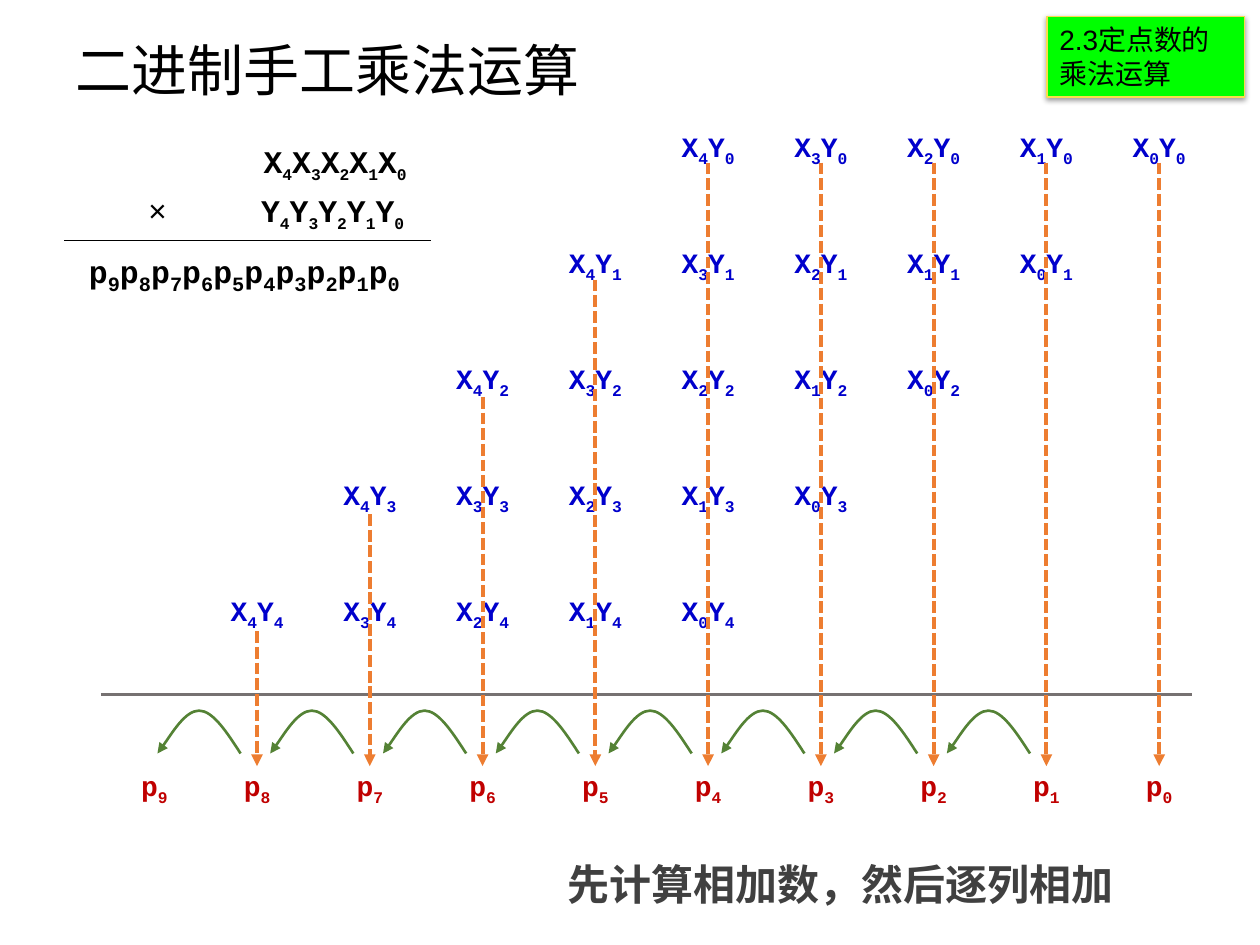
import pptx
import pptx.dml.color
import pptx.enum.dml
import pptx.enum.shapes
import pptx.enum.text
import pptx.oxml
import pptx.oxml.ns
import pptx.util

Inches, Pt = pptx.util.Inches, pptx.util.Pt
qn = pptx.oxml.ns.qn
ALIGN = pptx.enum.text.PP_ALIGN
ANCHOR = pptx.enum.text.MSO_ANCHOR
AUTO = pptx.enum.text.MSO_AUTO_SIZE

# Content: "_" marks the next character as a subscript
TITLE = "二进制手工乘法运算"
SECTION = "2.3定点数的乘法运算"
CLOSING = "先计算相加数，然后逐列相加"
BITS = 5
DIGITS = range(2 * BITS)
HIGH_TO_LOW = range(BITS - 1, -1, -1)
FACTOR_X = "".join(f"X_{i}" for i in HIGH_TO_LOW)
FACTOR_Y = "".join(f"Y_{i}" for i in HIGH_TO_LOW)
PRODUCT = "".join(f"p_{k}" for k in reversed(DIGITS))

THEME = dict(
    heading="Arial", mono="Courier New", cjk="Noto Sans CJK SC",
    black="000000", term="0000CC", result="C00000", closing="404040",
    rule="767171", arrow="ED7D31", carry="548235",
    tag="00FF00", tag_line="FADD4D",
    title_size=32, closing_size=24, factor_size=18, product_sub=20, size=16,
)

# Column grid, in inches: column 0 is the lowest digit, on the right
RIGHT, PITCH = 9.2, 0.895
ROW_TOP, ROW_STEP = 0.98, 0.92
ARROW_TOP, ARROW_STEP, ARROW_END = 1.29, 0.93, 6.08
CARRY_TOP, CARRY_SHIFT = 5.64, -0.79
CARRY = [(0.66, 0.34), (0.55, 0.17), (0.44, 0), (0.33, 0),
         (0.22, 0), (0.05, 0.28), (0, 0.34)]


def column(k):
    return RIGHT - PITCH * k


def rgb(name):
    return pptx.dml.color.RGBColor.from_string(THEME[name])


def write(tf, text, font="mono", size="size", sub_size="size", color="black",
          bold=True, align=ALIGN.CENTER, anchor=ANCHOR.TOP, auto=AUTO.SHAPE_TO_FIT_TEXT):
    tf.word_wrap = True
    tf.auto_size = auto
    tf.vertical_anchor = anchor
    p = tf.paragraphs[0]
    p.alignment = align
    first, *rest = text.split("_")
    runs = [(first, False)]
    for part in rest:
        runs += [(part[0], True), (part[1:], False)]
    for content, is_sub in runs:
        if not content:
            continue
        r = p.add_run()
        r.text = content
        r.font.name = THEME[font]
        r.font.size = Pt(THEME[sub_size if is_sub else size])
        r.font.bold = bold
        r.font.color.rgb = rgb(color)
        if is_sub:
            r.font._element.set("baseline", "-25000")
        if font != "mono":
            ea = r.font._element.makeelement(qn("a:ea"), {"typeface": THEME["cjk"]})
            r.font._element.append(ea)


def add_label(s, text, center, top, width, height=0.37, **fmt):
    sp = s.shapes.add_textbox(Inches(center - width / 2), Inches(top),
                              Inches(width), Inches(height))
    write(sp.text_frame, text, **fmt)


def add_tail(sp):
    ln = sp.element.spPr.find(qn("a:ln"))
    ln.append(ln.makeelement(qn("a:tailEnd"), {"type": "triangle"}))


def add_line(s, x1, y1, x2, y2, color, width, dotted_arrow=False):
    sp = s.shapes.add_connector(pptx.enum.shapes.MSO_CONNECTOR.STRAIGHT,
                                Inches(x1), Inches(y1), Inches(x2), Inches(y2))
    sp.line.color.rgb = rgb(color)
    sp.line.width = Pt(width)
    if dotted_arrow:
        sp.line.dash_style = pptx.enum.dml.MSO_LINE.ROUND_DOT
        sp.line.dash_style = pptx.enum.dml.MSO_LINE.SQUARE_DOT
        add_tail(sp)
    spPr = sp.element.spPr
    spPr.append(spPr.makeelement(qn("a:effectLst"), {}))


def add_carry(s, left):
    pts = [(Inches(left + x), Inches(CARRY_TOP + y)) for x, y in CARRY]
    fb = s.shapes.build_freeform(*pts[0])
    fb.add_line_segments(pts[1:], close=False)
    sp = fb.convert_to_shape()
    # Join each three segments into one Bezier curve
    outline = next(sp.element.iter(qn("a:path")))
    segments = outline.findall(qn("a:lnTo"))
    for i in range(0, len(segments), 3):
        curve = outline.makeelement(qn("a:cubicBezTo"), {})
        for segment in segments[i:i + 3]:
            curve.append(segment[0])
            outline.remove(segment)
        outline.append(curve)
    sp.fill.background()
    sp.line.color.rgb = rgb("carry")
    sp.line.width = Pt(1.5)
    sp.shadow.inherit = False
    add_tail(sp)


def add_section_tag(s):
    sp = s.shapes.add_shape(pptx.enum.shapes.MSO_SHAPE.RECTANGLE,
                            Inches(8.31), Inches(0.13), Inches(1.57), Inches(0.64))
    sp.fill.solid()
    sp.fill.fore_color.rgb = rgb("tag")
    sp.line.color.rgb = rgb("tag_line")
    sp.line.width = Pt(0.75)
    sp.shadow.inherit = False
    effects = sp.element.spPr.find(qn("a:effectLst"))
    effects.append(pptx.oxml.parse_xml(
        f'<a:outerShdw {pptx.oxml.ns.nsdecls("a")} blurRad="{Pt(3.1)}" dist="{Pt(1.6)}" '
        'dir="5400000" rotWithShape="0"><a:srgbClr val="000000">'
        '<a:alpha val="38000"/></a:srgbClr></a:outerShdw>'))
    write(sp.text_frame, SECTION, font="heading", bold=False, align=ALIGN.LEFT)


def main():
    prs = pptx.Presentation()
    prs.slide_width, prs.slide_height = Inches(10), Inches(7.5)
    s = prs.slides.add_slide(prs.slide_layouts[5])

    # Title
    title = s.shapes.title
    title.left, title.top = Inches(0.5), Inches(0.3)
    title.width, title.height = Inches(6), Inches(0.5)
    write(title.text_frame, TITLE, font="heading", size="title_size", bold=False,
          align=ALIGN.LEFT, anchor=ANCHOR.MIDDLE, auto=AUTO.NONE)

    # Partial products, one row for each digit of Y
    for j in range(BITS):
        for i in HIGH_TO_LOW:
            add_label(s, f"X_{i}Y_{j}", column(i + j), ROW_TOP + ROW_STEP * j, 0.78,
                      color="term")

    # Result digits; the last carry lands a little inside its column
    for k in DIGITS:
        nudge = 0.08 if k == DIGITS[-1] else 0
        add_label(s, f"p_{k}", column(k) + nudge, 6.05, 0.8, color="result")
    add_line(s, 0.8, 5.51, 9.46, 5.51, "rule", 1.5)

    # Written multiplication
    add_label(s, FACTOR_X, 2.66, 1.08, 1.73, 0.4, size="factor_size")
    add_label(s, "×", 1.25, 1.47, 0.5, 0.4, size="factor_size", bold=False)
    add_label(s, FACTOR_Y, 2.64, 1.47, 1.73, 0.4, size="factor_size")
    add_label(s, PRODUCT, 1.94, 1.92, 3.2, 0.4, size="factor_size", sub_size="product_sub")
    add_line(s, 0.51, 1.91, 3.42, 1.91, "black", 0.75)

    # Column sums and carries
    for k in DIGITS[:-1]:
        top = ARROW_TOP + ARROW_STEP * max(0, k - BITS + 1)
        add_line(s, column(k), top, column(k), ARROW_END, "arrow", 2.25, dotted_arrow=True)
    for k in DIGITS[1:-1]:
        add_carry(s, column(k) + CARRY_SHIFT)

    # Closing line and section tag
    add_label(s, CLOSING, 6.67, 6.71, 6.42, 0.55, font="cjk", size="closing_size",
              color="closing", anchor=ANCHOR.BOTTOM, auto=AUTO.NONE)
    add_section_tag(s)

    prs.save("out.pptx")


if __name__ == "__main__":
    main()
